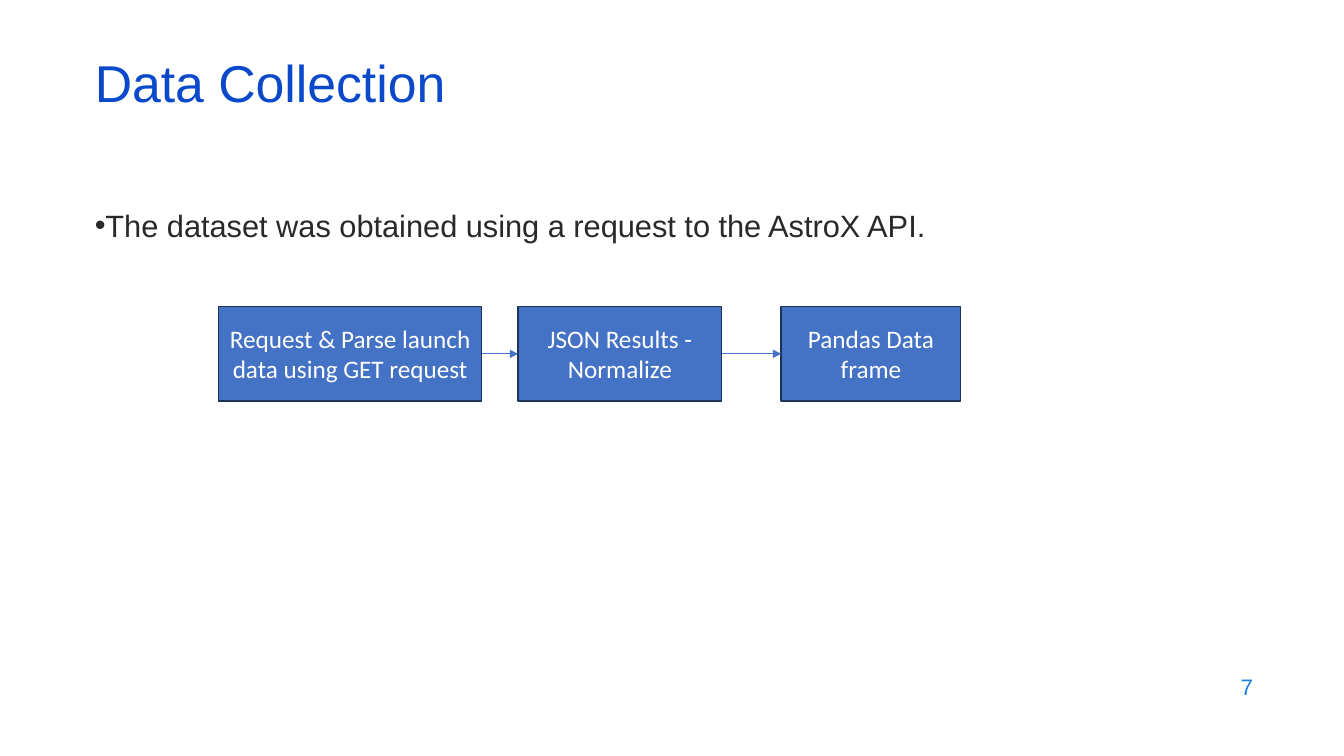
import pptx
import pptx.dml.color
import pptx.enum.shapes
import pptx.enum.text
import pptx.oxml.ns
import pptx.oxml.xmlchemy
import pptx.util

Pt = pptx.util.Pt
ALIGN = pptx.enum.text.PP_ALIGN
ANCHOR = pptx.enum.text.MSO_ANCHOR

BOX_TOP, BOX_HEIGHT = 218.9, 67.7
STEPS = [
    # text, left, width
    ("Request & Parse launch data using GET request", 156.2, 188),
    ("JSON Results - Normalize", 370.1, 145.4),
    ("Pandas Data frame", 558, 128.2),
]


def rgb(color):
    return pptx.dml.color.RGBColor.from_string(color)


def add_xml(parent, tag, **attributes):
    child = pptx.oxml.xmlchemy.OxmlElement(tag)
    for name, value in attributes.items():
        child.set(name, value)
    parent.append(child)


def place(s, left, top, width, height):
    s.left, s.top, s.width, s.height = Pt(left), Pt(top), Pt(width), Pt(height)


def write(s, text, size, color, font="Arial", align=ALIGN.LEFT,
          anchor=ANCHOR.MIDDLE, line_spacing=1.0, bullet=None):
    tf = s.text_frame
    tf.word_wrap = True
    tf.auto_size = pptx.enum.text.MSO_AUTO_SIZE.NONE
    tf.vertical_anchor = anchor
    p = tf.paragraphs[0]
    p.alignment = align
    p.line_spacing = line_spacing
    p.space_before = Pt(0)
    if bullet:
        pPr = p._p.get_or_add_pPr()
        pPr.set("marL", "0")
        pPr.set("indent", "0")
        add_xml(pPr, "a:buChar", char=bullet)
    r = p.add_run()
    r.text = text
    r.font.name = font
    r.font.size = Pt(size)
    r.font.color.rgb = rgb(color)


def add_step(slide, text, left, width):
    s = slide.shapes.add_shape(
        pptx.enum.shapes.MSO_SHAPE.RECTANGLE,
        Pt(left), Pt(BOX_TOP), Pt(width), Pt(BOX_HEIGHT))
    s.shadow.inherit = False
    s.fill.solid()
    s.fill.fore_color.rgb = rgb("4472C4")
    s.line.color.rgb = rgb("1E3256")
    s.line.width = Pt(1)
    write(s, text, 18, "FFFFFF", font="Calibri", align=ALIGN.CENTER)
    return s


def add_arrow(slide, source, target):
    """Join the right side of source to the left side of target."""
    c = slide.shapes.add_connector(
        pptx.enum.shapes.MSO_CONNECTOR.STRAIGHT, 0, 0, 0, 0)
    c.begin_connect(source, 3)
    c.end_connect(target, 1)
    c.line.color.rgb = rgb("4472C4")
    c.line.width = Pt(0.5)
    add_xml(c.line._get_or_add_ln(), "a:tailEnd", type="triangle")
    add_xml(c._element.find(pptx.oxml.ns.qn("p:spPr")), "a:effectLst")


def main():
    prs = pptx.Presentation()
    prs.slide_width, prs.slide_height = Pt(960), Pt(540)
    slide = prs.slides.add_slide(prs.slide_layouts[1])

    title, body = slide.placeholders
    place(title, 60.5, 42.5, 828, 43.2)
    write(title, "Data Collection", 37, "0B49CB", line_spacing=0.7)
    place(body, 60.5, 144, 828, 342.7)
    write(body, "The dataset was obtained using a request to the AstroX API.",
          22, "292929", anchor=ANCHOR.TOP, bullet="•")

    boxes = [add_step(slide, *step) for step in STEPS]
    for source, target in zip(boxes, boxes[1:]):
        add_arrow(slide, source, target)

    number = slide.shapes.add_textbox(Pt(686.2), Pt(474.5), Pt(216), Pt(31.7))
    write(number, "7", 16, "1C7DDB", align=ALIGN.RIGHT)

    prs.save("out.pptx")


if __name__ == "__main__":
    main()
